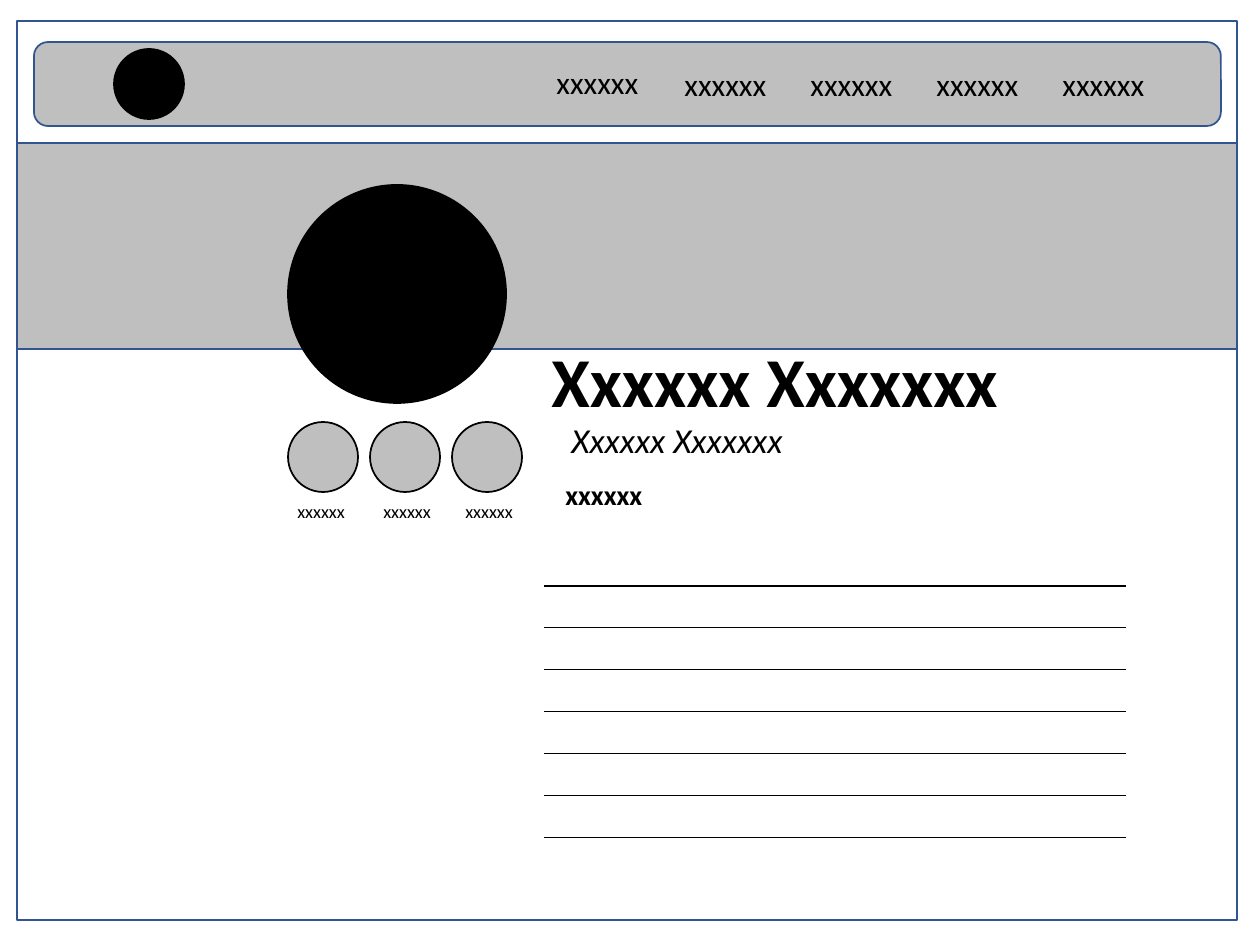
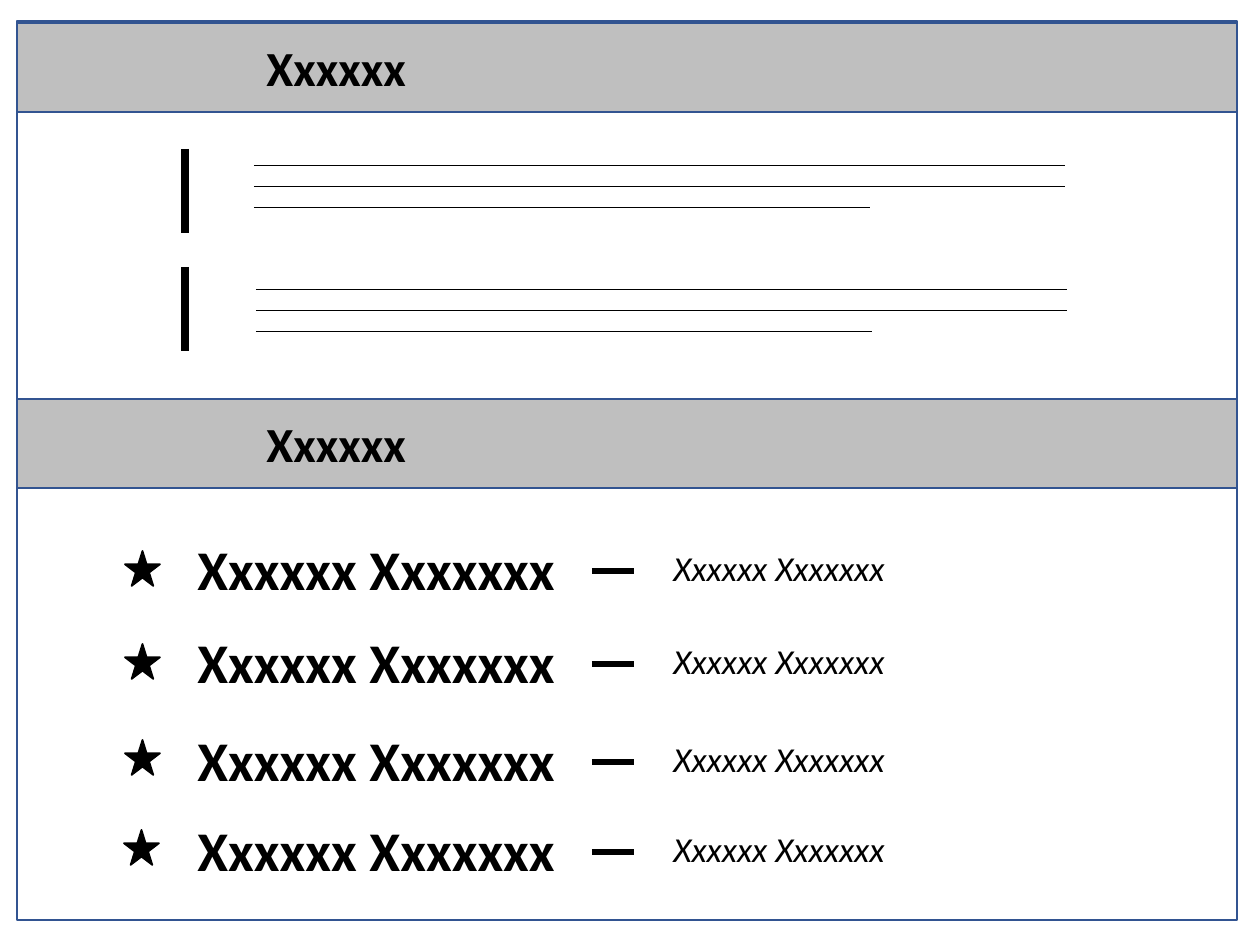
import pptx
import pptx.util
import pptx.dml.color
import pptx.enum.shapes
import pptx.enum.text
import pptx.oxml.ns
from lxml import etree

PX = 7257  # EMU in one px, at 126 px to the inch
FONT = "Calibri"
COLORS = {"ink": "000000", "band": "BFBFBF", "edge": "325491"}
RGB = {name: pptx.dml.color.RGBColor.from_string(value) for name, value in COLORS.items()}
KIND = pptx.enum.shapes.MSO_SHAPE
FRAME_LEFT, FRAME_WIDTH = 17, 1220
NAME = "Xxxxxx Xxxxxxx"
WORD = "xxxxxx"


def add_block(slide, kind, left, top, width, height, fill=None, line="edge"):
    """Preset shape with a 1 pt outline; hollow when fill is None."""
    block = slide.shapes.add_shape(kind, left * PX, top * PX, width * PX, height * PX)
    block.shadow.inherit = False
    if fill:
        block.fill.solid()
        block.fill.fore_color.rgb = RGB[fill]
    else:
        block.fill.background()
    block.line.color.rgb = RGB[line]
    block.line.width = pptx.util.Pt(1)


def add_label(slide, words, left, top, width, height, size, bold=False, italic=False):
    """One line of text that does not wrap."""
    box = slide.shapes.add_textbox(left * PX, top * PX, width * PX, height * PX)
    frame = box.text_frame
    frame.word_wrap = False
    frame.auto_size = pptx.enum.text.MSO_AUTO_SIZE.SHAPE_TO_FIT_TEXT
    run = frame.paragraphs[0].add_run()
    run.text = words
    run.font.name = FONT
    run.font.size = pptx.util.Pt(size)
    run.font.bold = bold
    run.font.italic = italic
    run.font.color.rgb = RGB["ink"]


deck = pptx.Presentation()
deck.slide_width = 1260 * PX
deck.slide_height = 945 * PX
blank = deck.slide_layouts[6]
profile, details = [deck.slides.add_slide(blank) for _ in range(2)]
for page in (profile, details):
    add_block(page, KIND.RECTANGLE, FRAME_LEFT, 21, FRAME_WIDTH, 899)

# Profile: navigation bar
add_block(profile, KIND.ROUNDED_RECTANGLE, 34, 42, 1187, 84, "band")
add_label(profile, WORD, 544, 57, 107, 50, 18)
for item in range(4):
    add_label(profile, WORD, 672 + 126 * item, 59, 107, 50, 18)
add_block(profile, KIND.OVAL, 114, 49, 70, 70, "ink", "ink")

# Profile: banner, portrait and the three small circles
add_block(profile, KIND.RECTANGLE, FRAME_LEFT, 143, FRAME_WIDTH, 206, "band")
add_block(profile, KIND.OVAL, 288, 185, 218, 218, "ink", "ink")
for index, caption_left in enumerate((285, 371, 453)):
    add_block(profile, KIND.OVAL, 288 + 82 * index, 422, 70, 70, "band", "ink")
    add_label(profile, WORD, caption_left, 494, 73, 35, 10.5)

# Profile: name, role and heading
add_label(profile, NAME, 539, 331, 476, 97, 40, bold=True)
add_label(profile, NAME, 559, 412, 238, 55, 20, italic=True)
add_label(profile, WORD, 553, 471, 103, 46, 16, bold=True)

# Profile: ruled writing area, with lines between the rows only
ROWS, ROW_HEIGHT = 8, 42
ruled = profile.shapes.add_table(
    ROWS, 1, 544 * PX, 544 * PX, 582 * PX, ROWS * ROW_HEIGHT * PX).table
ruled.first_row = False
ruled.horz_banding = False
for index, row in enumerate(ruled.rows):
    row.height = ROW_HEIGHT * PX
    cell = row.cells[0]
    cell.margin_top = cell.margin_bottom = 0
    cell_format = cell._tc.get_or_add_tcPr()
    has_line = {"lnL": False, "lnR": False, "lnT": index > 0, "lnB": index < ROWS - 1}
    for side, drawn in has_line.items():
        border = etree.SubElement(
            cell_format, pptx.oxml.ns.qn("a:" + side), w=str(pptx.util.Pt(0.75)))
        if drawn:
            paint = etree.SubElement(border, pptx.oxml.ns.qn("a:solidFill"))
            etree.SubElement(paint, pptx.oxml.ns.qn("a:srgbClr"), val=COLORS["ink"])
        else:
            etree.SubElement(border, pptx.oxml.ns.qn("a:noFill"))
    cell.fill.background()

# Details: section bands
for band_top in (23, 399):
    add_block(details, KIND.RECTANGLE, FRAME_LEFT, band_top, FRAME_WIDTH, 89, "band")
    add_label(details, "Xxxxxx", 254, band_top + 8, 166, 72, 28, bold=True)

# Details: strokes as (x1, y1, x2, y2, points), first the two barred paragraphs
strokes = []
for bar_top, text_left, text_top in ((149, 254, 165), (267, 256, 289)):
    strokes.append((185, bar_top, 185, bar_top + 84, 4.5))
    for index, length in enumerate((811, 811, 616)):
        y = text_top + 21 * index
        strokes.append((text_left, y, text_left + length, y, 0.5))

# Details: starred entries
for entry_top, star_left, star_top in (
        (528, 125, 551), (621, 125, 644), (719, 125, 740), (809, 124, 830)):
    add_block(details, KIND.STAR_5_POINT, star_left, star_top, 35, 35, "ink", "ink")
    add_label(details, NAME, 185, entry_top, 387, 81, 32, bold=True)
    add_label(details, NAME, 661, entry_top + 12, 238, 55, 20, italic=True)
    strokes.append((592, entry_top + 43, 634, entry_top + 43, 3))

for x1, y1, x2, y2, points in strokes:
    stroke = details.shapes.add_connector(
        pptx.enum.shapes.MSO_CONNECTOR.STRAIGHT, x1 * PX, y1 * PX, x2 * PX, y2 * PX)
    stroke.line.color.rgb = RGB["ink"]
    stroke.line.width = pptx.util.Pt(points)
    etree.SubElement(stroke._element.spPr, pptx.oxml.ns.qn("a:effectLst"))

deck.save("out.pptx")
